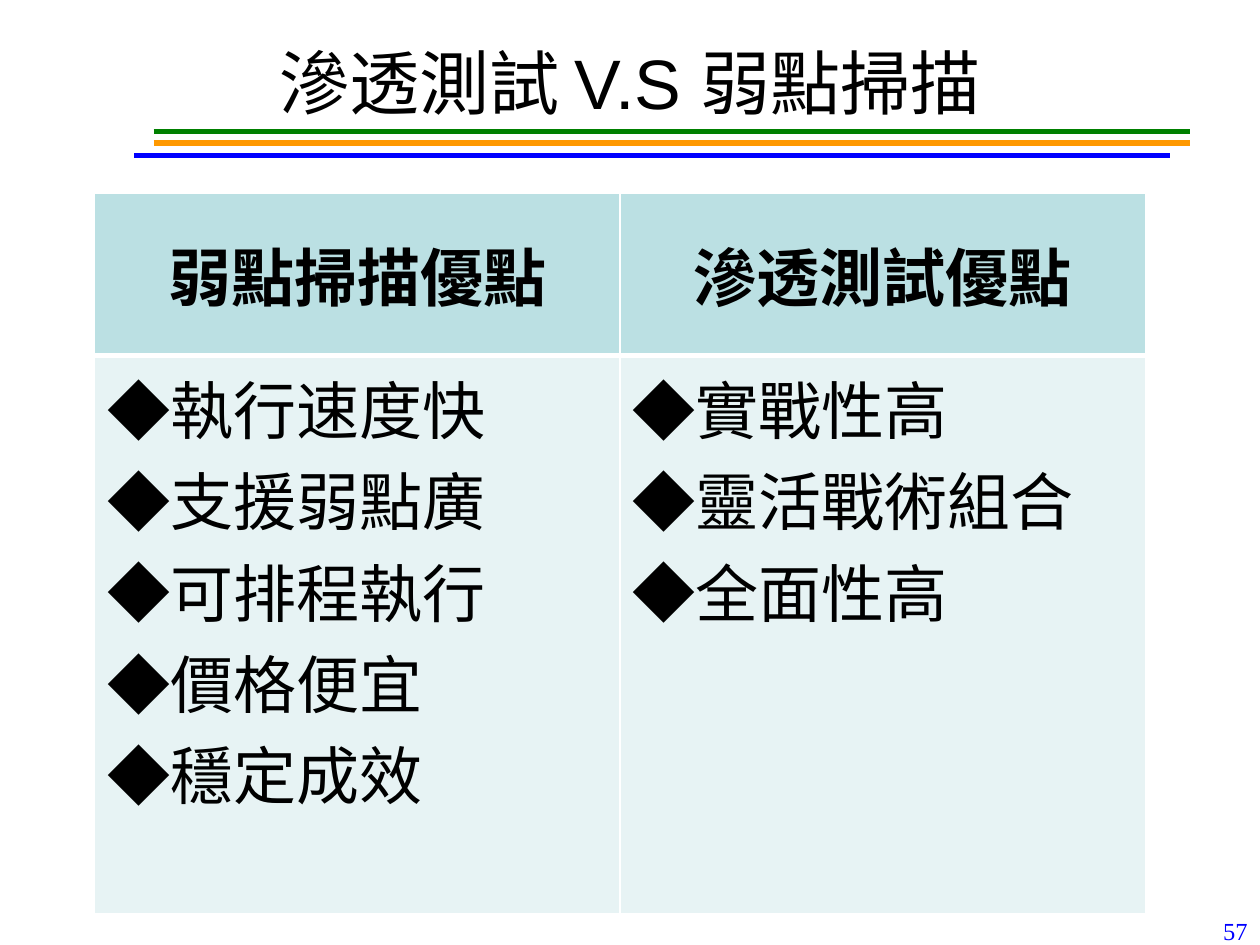
from lxml.etree import SubElement
from pptx import Presentation
from pptx.dml.color import RGBColor
from pptx.enum.shapes import MSO_CONNECTOR as CONN
from pptx.enum.text import MSO_ANCHOR as ANCHOR, PP_ALIGN as ALIGN
from pptx.oxml.ns import qn
from pptx.util import Pt

COLORS = {
    "black": "000000", "white": "FFFFFF", "blue": "0000FF", "orange": "FF9900",
    "green": "008000", "header": "BBE0E3", "body": "E7F3F4",
}
CJK = "Noto Sans CJK SC"
COLUMNS = [
    ("弱點掃描優點", ["執行速度快", "支援弱點廣", "可排程執行", "價格便宜", "穩定成效"]),
    ("滲透測試優點", ["實戰性高", "靈活戰術組合", "全面性高"]),
]


def rgb(name):
    return RGBColor.from_string(COLORS[name])


def add_bullet(p, char="◆", indent=36):
    pPr = p._p.get_or_add_pPr()
    pPr.set("marL", str(Pt(indent)))
    pPr.set("indent", str(-Pt(indent)))
    SubElement(pPr, qn("a:buFont")).set("typeface", CJK)
    SubElement(pPr, qn("a:buChar")).set("char", char)


def write(tf, lines, size=36, font=CJK, color="black", bold=False,
          align=ALIGN.LEFT, bullet=False):
    for i, text in enumerate(lines):
        p = tf.paragraphs[0] if i == 0 else tf.add_paragraph()
        p.alignment = align
        if bullet:
            add_bullet(p)
        r = p.add_run()
        r.text = text
        r.font.size, r.font.name, r.font.bold = Pt(size), font, bold
        r.font.color.rgb = rgb(color)
        rPr = r._r.get_or_add_rPr()
        SubElement(rPr, qn("a:ea")).set("typeface", CJK)


def add_text(slide, box, text, anchor, **style):
    tf = slide.shapes.add_textbox(*map(Pt, box)).text_frame
    tf.word_wrap = True
    tf.vertical_anchor = anchor
    write(tf, [text], **style)


def add_rules(slide, left, top, width):
    # Three coloured rules; the blue one is shifted to the left
    for color, dx, dy in [("orange", 0, 6.8), ("blue", -11.2, 13.8), ("green", 0, 0)]:
        x, y = Pt(left + dx), Pt(top + dy)
        line = slide.shapes.add_connector(CONN.STRAIGHT, x, y, x + Pt(width), y)
        line.line.color.rgb = rgb(color)
        line.line.width = Pt(3)
        SubElement(line._element.spPr, qn("a:effectLst"))


def set_borders(cell, **widths):
    tcPr = cell._tc.get_or_add_tcPr()
    for i, side in enumerate(("lnL", "lnR", "lnT", "lnB")):
        ln = tcPr.makeelement(qn("a:" + side), {"w": str(Pt(widths.get(side, 1)))})
        fill = SubElement(ln, qn("a:solidFill"))
        SubElement(fill, qn("a:srgbClr")).set("val", COLORS["white"])
        tcPr.insert(i, ln)


def add_comparison(slide, left, top, width, height, header_height):
    frame = slide.shapes.add_table(2, len(COLUMNS), *map(Pt, (left, top, width, height)))
    table = frame.table
    table.rows[0].height = Pt(header_height)
    table.rows[1].height = Pt(height - header_height)
    for col, (heading, points) in enumerate(COLUMNS):
        table.columns[col].width = Pt(width / len(COLUMNS))
        head, body = table.cell(0, col), table.cell(1, col)
        for cell, color in ((head, "header"), (body, "body")):
            cell.fill.solid()
            cell.fill.fore_color.rgb = rgb(color)
        head.vertical_anchor = ANCHOR.MIDDLE
        body.vertical_anchor = ANCHOR.TOP
        set_borders(head, lnB=3)
        set_borders(body, lnT=3)
        write(head.text_frame, [heading], bold=True, align=ALIGN.CENTER)
        write(body.text_frame, points, bullet=True)


def main():
    prs = Presentation()
    prs.slide_width, prs.slide_height = Pt(720), Pt(540)
    slide = prs.slides.add_slide(prs.slide_layouts[6])

    add_rules(slide, 87.8, 75, 592)
    # Page number
    add_text(slide, (552, 520, 168, 17), "57", ANCHOR.TOP, size=14,
             font="Times New Roman", color="blue", align=ALIGN.RIGHT)
    # Title
    add_text(slide, (36, 21.6, 648, 49.7), "滲透測試 V.S 弱點掃描", ANCHOR.MIDDLE,
             size=40, font="Arial", align=ALIGN.CENTER)
    add_comparison(slide, 54, 110.2, 600.6, 412, header_height=92.9)

    prs.save("out.pptx")


if __name__ == "__main__":
    main()
